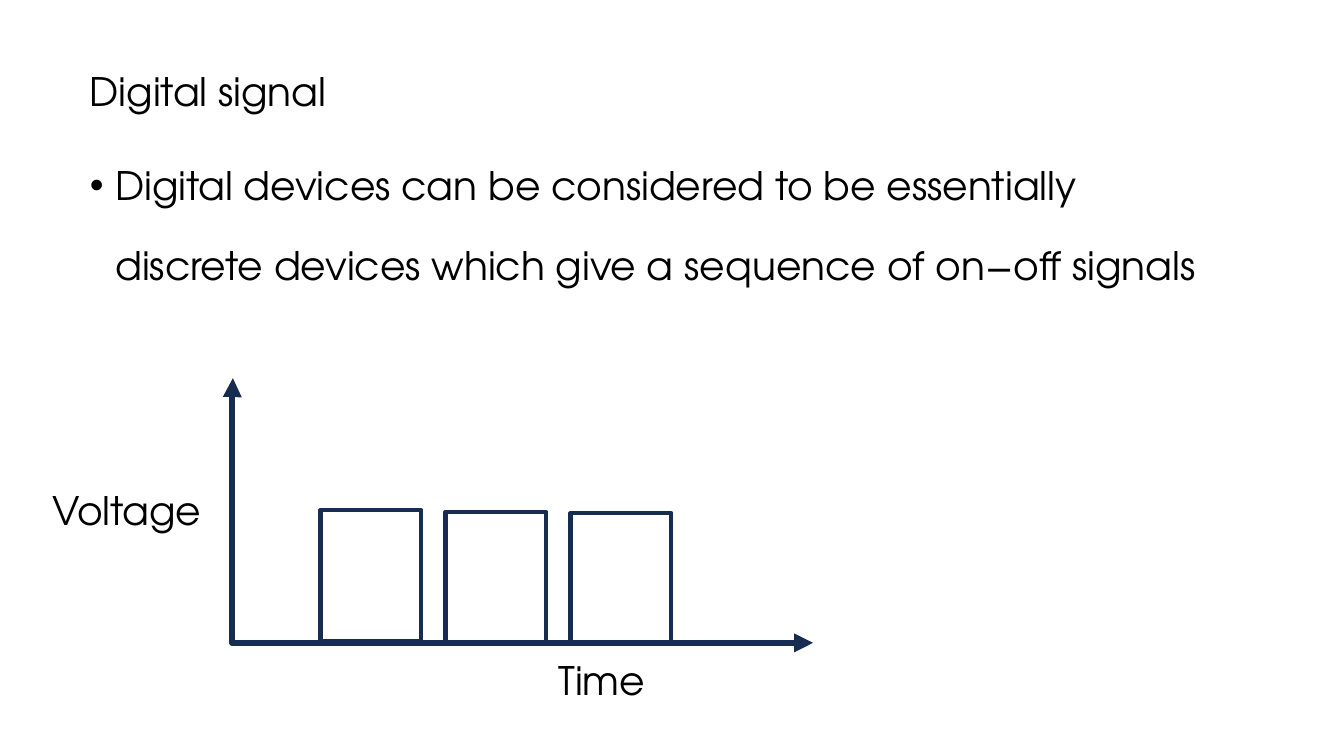
import pptx
import pptx.util
import pptx.dml.color
import pptx.enum.dml
import pptx.enum.shapes
import pptx.enum.text
import pptx.oxml.ns
import lxml.etree

Cm = pptx.util.Cm
Pt = pptx.util.Pt
NAVY = pptx.dml.color.RGBColor(0x17, 0x2C, 0x51)
BLACK = pptx.dml.color.RGBColor(0, 0, 0)
FONT = "TeX Gyre Adventor"
FONT_SIZE = Pt(28)


def add_element(parent, tag, **attributes):
    return lxml.etree.SubElement(parent, pptx.oxml.ns.qn(tag), attributes)


def format_runs(paragraph):
    for run in paragraph.runs:
        run.font.name = FONT
        run.font.size = FONT_SIZE
        run.font.color.rgb = BLACK


def set_bullet(paragraph, character, indent):
    properties = paragraph._p.get_or_add_pPr()
    properties.set("marL", str(indent))
    properties.set("indent", str(-indent))
    if character:
        add_element(properties, "a:buFont", typeface="Arial")
        add_element(properties, "a:buChar", char=character)
    else:
        add_element(properties, "a:buNone")


def fill_body(body, heading, statement):
    body.left, body.top, body.width, body.height = Cm(2.01), Cm(0.74), Cm(29.21), Cm(12.09)
    frame = body.text_frame
    frame.auto_size = pptx.enum.text.MSO_AUTO_SIZE.NONE
    frame.vertical_anchor = pptx.enum.text.MSO_ANCHOR.TOP
    frame.text = heading
    frame.add_paragraph().text = statement
    formats = [("", 0, Pt(0)), ("•", Cm(0.64), Pt(10))]
    for paragraph, (character, indent, space_before) in zip(frame.paragraphs, formats):
        set_bullet(paragraph, character, indent)
        paragraph.line_spacing = 1.7
        paragraph.space_before = space_before
        format_runs(paragraph)


def add_axes(slide, left, top, right, bottom):
    axes = slide.shapes.add_connector(
        pptx.enum.shapes.MSO_CONNECTOR.ELBOW, left, top, right, bottom)
    axes.line.color.rgb = NAVY
    axes.line.width = Pt(4.5)
    line = axes.line._get_or_add_ln()
    add_element(line, "a:headEnd", type="triangle")
    add_element(line, "a:tailEnd", type="triangle")
    properties = axes._element.spPr
    add_element(properties, "a:effectLst")
    adjustments = properties.find(".//" + pptx.oxml.ns.qn("a:avLst"))
    add_element(adjustments, "a:gd", name="adj1", fmla="val -100")


def add_axis_label(slide, text, left, top):
    label = slide.shapes.add_textbox(left, top, Cm(4.67), Cm(2.54))
    frame = label.text_frame
    frame.word_wrap = True
    frame.vertical_anchor = pptx.enum.text.MSO_ANCHOR.MIDDLE
    frame.text = text
    paragraph = frame.paragraphs[0]
    paragraph.alignment = pptx.enum.text.PP_ALIGN.CENTER
    format_runs(paragraph)


def add_pulse(slide, left, top):
    pulse = slide.shapes.add_shape(
        pptx.enum.shapes.MSO_SHAPE.RECTANGLE, left, top, Cm(2.54), Cm(3.3))
    pulse.shadow.inherit = False
    pulse.fill.background()
    pulse.line.color.rgb = NAVY
    pulse.line.width = Pt(3)


def main():
    presentation = pptx.Presentation()
    presentation.slide_width = Cm(33.87)
    presentation.slide_height = Cm(19.05)
    slide = presentation.slides.add_slide(presentation.slide_layouts[1])
    title = slide.shapes.title
    title._element.getparent().remove(title._element)
    fill_body(
        slide.placeholders[1],
        "Digital signal",
        "Digital devices can be considered to be essentially discrete devices "
        "which give a sequence of on−off signals",
    )
    add_axes(slide, Cm(5.87), Cm(9.53), Cm(20.49), Cm(16.2))
    add_axis_label(slide, "Voltage", Cm(0.86), Cm(11.58))
    add_axis_label(slide, "Time", Cm(12.83), Cm(15.85))
    for index, top in enumerate([12.85, 12.9, 12.93]):
        add_pulse(slide, Cm(8.08 + 3.15 * index), Cm(top))
    presentation.save("out.pptx")


if __name__ == "__main__":
    main()
